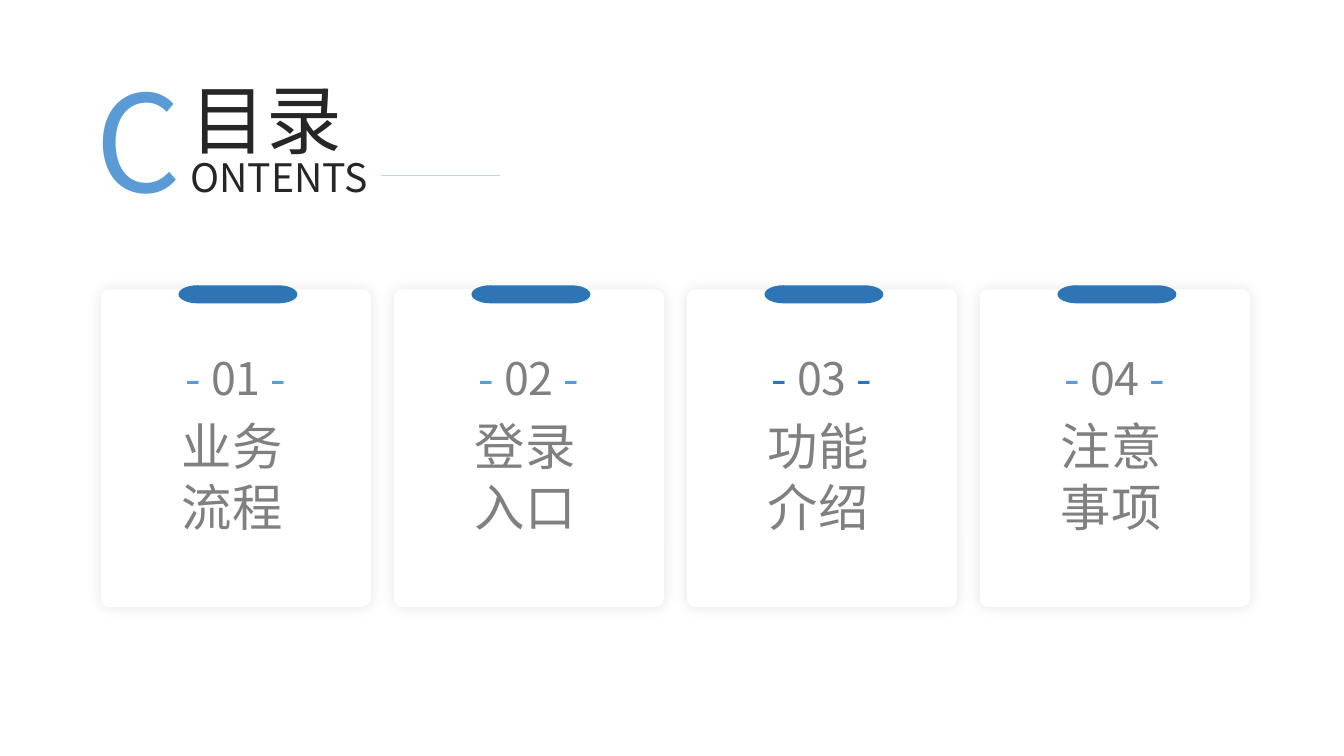
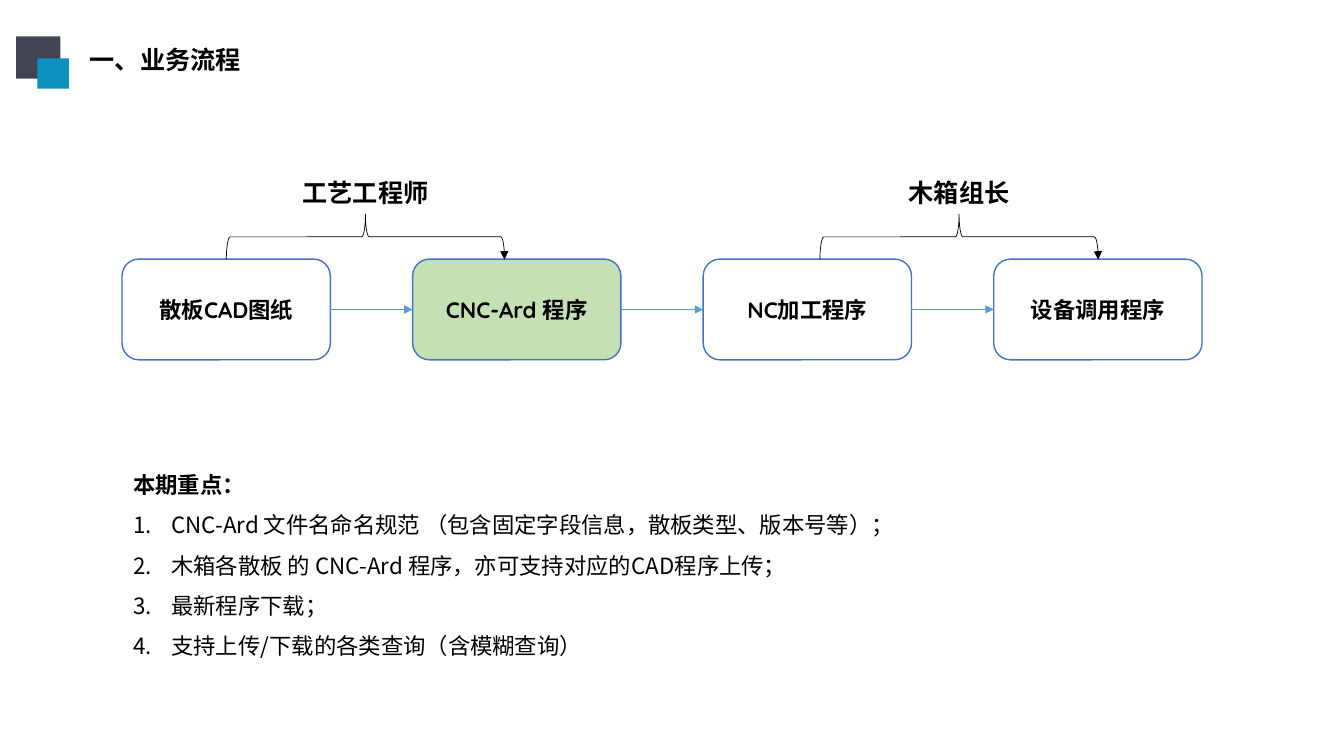
"""Build a contents slide and a business process slide."""
import pptx
import pptx.util
import pptx.dml.color
import pptx.enum.shapes
import pptx.enum.text
import pptx.oxml.ns
import lxml.etree

SLIDE_W = pptx.util.Inches(13.333)
SLIDE_H = pptx.util.Inches(7.5)
SANS = "Noto Sans CJK SC"
ROUNDED = "Quicksand"
COLORS = {
    "white": "FFFFFF", "black": "000000", "ink": "262626", "grey": "808080",
    "sky": "5B9BD5", "blue": "2E75B6", "pale": "BDD7EE", "outline": "4472C4",
    "green": "C5E0B4", "slate": "414455", "cyan": "0E90BE",
}
ALIGN = pptx.enum.text.PP_ALIGN
ANCHOR = pptx.enum.text.MSO_ANCHOR
SHAPE = pptx.enum.shapes.MSO_SHAPE

TOPICS = [("业务\n流程", "sky"), ("登录\n入口", "sky"),
          ("功能\n介绍", "blue"), ("注意\n事项", "sky")]
CARD_LEFT, CARD_STEP = 7.5, 21.8

STEPS = [("散板CAD图纸", "white"), ("CNC-Ard 程序", "green"),
         ("NC加工程序", "white"), ("设备调用程序", "white")]
STEP_LEFT, STEP_GAP, STEP_W, STEP_TOP, STEP_H = 9.08, 21.62, 15.5, 34.27, 13.33
ROLES = [("工艺工程师", 27.19), ("木箱组长", 71.36)]
FOCUS = [
    "本期重点：",
    "CNC-Ard 文件名命名规范 （包含固定字段信息，散板类型、版本号等）；",
    "木箱各散板 的 CNC-Ard 程序，亦可支持对应的CAD程序上传；",
    "最新程序下载；",
    "支持上传/下载的各类查询（含模糊查询）",
]


def across(share):
    return int(SLIDE_W * share / 100)


def down(share):
    return int(SLIDE_H * share / 100)


def area(left, top, width, height):
    return across(left), down(top), across(width), down(height)


def rgb(color):
    return pptx.dml.color.RGBColor.from_string(COLORS[color])


def add_xml(parent, tag, **attributes):
    return lxml.etree.SubElement(parent, pptx.oxml.ns.qn(tag), attributes)


def style_run(run, size, color, face=SANS, bold=False):
    run.font.size = pptx.util.Pt(size)
    run.font.bold = bold
    run.font.color.rgb = rgb(color)
    run.font.name = face
    add_xml(run.font._element, "a:ea", typeface=SANS)


def style_text(frame, size, color, face=SANS, bold=False,
               align=ALIGN.LEFT, anchor=ANCHOR.TOP):
    frame.word_wrap = True
    frame.auto_size = pptx.enum.text.MSO_AUTO_SIZE.NONE
    frame.vertical_anchor = anchor
    for paragraph in frame.paragraphs:
        paragraph.alignment = align
        for run in paragraph.runs:
            style_run(run, size, color, face, bold)


def add_label(slide, text, place, size, color, **style):
    label = slide.shapes.add_textbox(*area(*place))
    label.text_frame.text = text
    style_text(label.text_frame, size, color, **style)
    return label


def move(holder, place):
    holder.left, holder.top, holder.width, holder.height = area(*place)


def set_title(slide, text, place, size, color, bold=False):
    title = slide.shapes.title
    move(title, place)
    title.text_frame.text = text
    style_text(title.text_frame, size, color, bold=bold)


def add_block(slide, kind, place, fill, outline=None):
    block = slide.shapes.add_shape(kind, *area(*place))
    block.shadow.inherit = False
    block.fill.solid()
    block.fill.fore_color.rgb = rgb(fill)
    if outline:
        block.line.color.rgb = rgb(outline)
        block.line.width = pptx.util.Pt(1)
    else:
        block.line.fill.background()
    return block


def thin_line(mark, color, arrow):
    mark.line.color.rgb = rgb(color)
    mark.line.width = pptx.util.Pt(0.5)
    if arrow:
        add_xml(mark.line._get_or_add_ln(), "a:tailEnd", type="triangle")


def add_rule(slide, start, end, level, color, arrow=False):
    rule = slide.shapes.add_connector(
        pptx.enum.shapes.MSO_CONNECTOR.STRAIGHT,
        across(start), down(level), across(end), down(level))
    thin_line(rule, color, arrow)
    add_xml(rule._element.spPr, "a:effectLst")


def add_glow(card):
    effects = card._element.spPr.find(pptx.oxml.ns.qn("a:effectLst"))
    glow = add_xml(effects, "a:outerShdw", blurRad=str(pptx.util.Pt(10)),
                   dist="0", dir="0", algn="ctr", rotWithShape="0")
    tint = add_xml(glow, "a:srgbClr", val=COLORS["black"])
    add_xml(tint, "a:alpha", val="10000")


def add_topic_card(slide, index, topic, dash_color):
    left = CARD_LEFT + CARD_STEP * index
    card = add_block(slide, SHAPE.ROUNDED_RECTANGLE, (left, 38.27, 20.1, 42), "white")
    card.adjustments[0] = 0.03
    add_glow(card)
    add_label(slide, topic, (left + 1.5, 54.27, 16.58, 17.47), 36, "grey",
              align=ALIGN.CENTER)
    number = add_label(slide, "", (left + 3.53, 45.73, 13.05, 8.53), 32, "grey",
                       align=ALIGN.CENTER)
    pieces = [("- ", dash_color), (f"{index + 1:02d} ", "grey"), ("-", dash_color)]
    for text, color in pieces:
        run = number.text_frame.paragraphs[0].add_run()
        run.text = text
        style_run(run, 32, color)
    add_block(slide, SHAPE.FLOWCHART_TERMINATOR,
              (left + 5.78, 37.73, 8.85, 2.4), "blue")


def add_step(slide, index, text, fill):
    left = STEP_LEFT + STEP_GAP * index
    step = add_block(slide, SHAPE.ROUNDED_RECTANGLE,
                     (left, STEP_TOP, STEP_W, STEP_H), fill, "outline")
    step.text_frame.text = text
    style_text(step.text_frame, 16, "black", ROUNDED, True,
               ALIGN.CENTER, ANCHOR.MIDDLE)
    if index:
        add_rule(slide, left - STEP_GAP + STEP_W, left,
                 STEP_TOP + STEP_H / 2, "sky", arrow=True)


def add_role(slide, role, center):
    depth, span = down(6), across(20.7)
    brace = slide.shapes.add_shape(
        SHAPE.LEFT_BRACE, across(center) - depth // 2,
        down(31.33) - span // 2, depth, span)
    brace.rotation = 90
    brace.shadow.inherit = False
    brace.fill.background()
    thin_line(brace, "black", arrow=True)
    add_label(slide, role, (center - 7.5, 22.8, 15, 5.33), 18, "black",
              face=ROUNDED, bold=True, align=ALIGN.CENTER)


def set_focus_list(slide):
    focus = slide.placeholders[1]
    move(focus, (9.15, 59.87, 64, 28.27))
    focus.text_frame.text = "\n".join(FOCUS)
    indent = pptx.util.Inches(0.38)
    for index, paragraph in enumerate(focus.text_frame.paragraphs):
        paragraph.line_spacing = 1.5
        paragraph.space_before = pptx.util.Pt(0)
        properties = paragraph._p.get_or_add_pPr()
        properties.set("marL", str(indent if index else 0))
        properties.set("indent", str(-indent if index else 0))
        if index:
            add_xml(properties, "a:buFont", typeface="+mj-lt")
            add_xml(properties, "a:buAutoNum", type="arabicPeriod")
        else:
            add_xml(properties, "a:buNone")
    style_text(focus.text_frame, 16, "black")
    focus.text_frame.paragraphs[0].runs[0].font.bold = True


def build_contents(deck):
    slide = deck.slides.add_slide(deck.slide_layouts[5])
    set_title(slide, "目录", (13.43, 8.93, 15, 13.47), 54, "ink")
    add_label(slide, "C", (6.38, 7.07, 6.83, 22.93), 96, "sky")
    add_label(slide, "ONTENTS", (13.43, 19.6, 18.75, 7.6), 28, "ink")
    add_rule(slide, 28.35, 37.2, 23.2, "pale")
    for index, (topic, dash_color) in enumerate(TOPICS):
        add_topic_card(slide, index, topic, dash_color)


def build_process(deck):
    slide = deck.slides.add_slide(deck.slide_layouts[1])
    set_title(slide, "一、业务流程", (5.93, 5.2, 27.68, 5.33), 18, "black", bold=True)
    add_block(slide, SHAPE.RECTANGLE, (1.2, 4.8, 3.3, 5.6), "slate")
    add_block(slide, SHAPE.RECTANGLE, (2.78, 7.73, 2.35, 4), "cyan")
    for index, (text, fill) in enumerate(STEPS):
        add_step(slide, index, text, fill)
    for role, center in ROLES:
        add_role(slide, role, center)
    set_focus_list(slide)


def main():
    deck = pptx.Presentation()
    deck.slide_width, deck.slide_height = SLIDE_W, SLIDE_H
    build_contents(deck)
    build_process(deck)
    deck.save("out.pptx")


if __name__ == "__main__":
    main()
